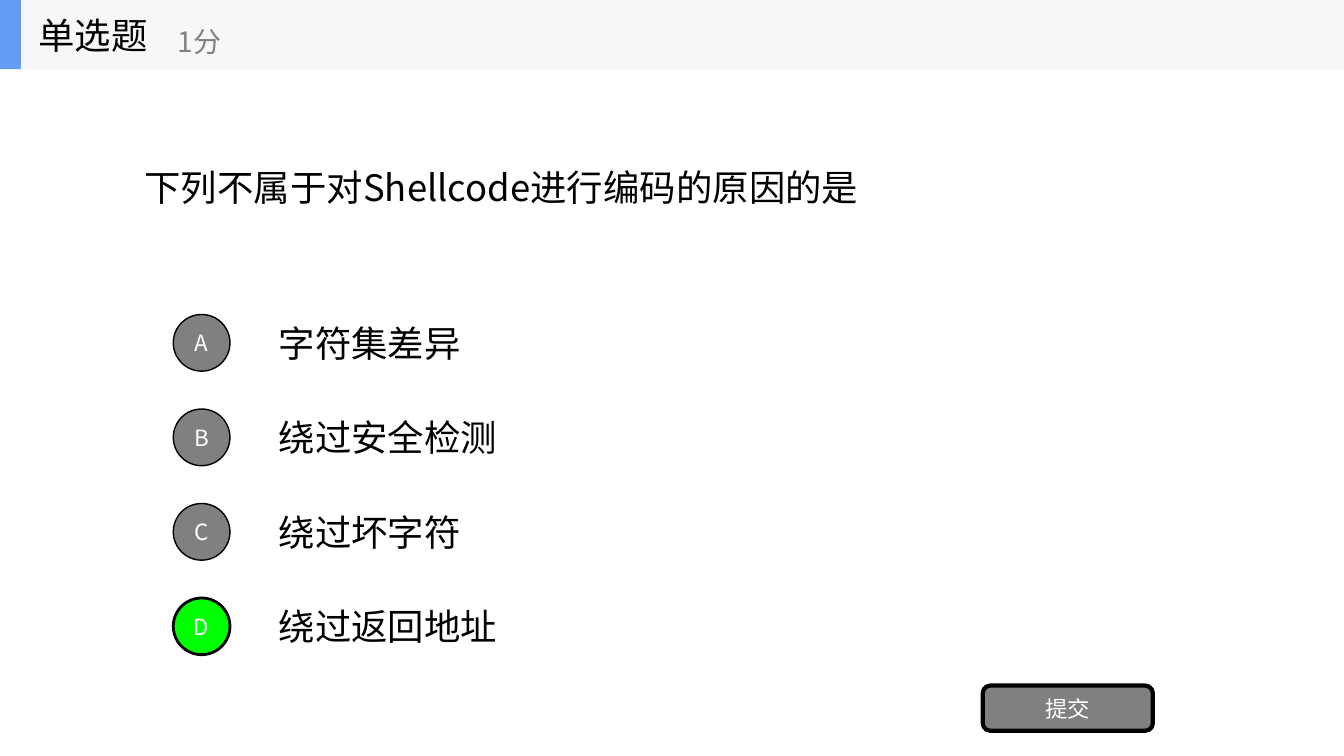
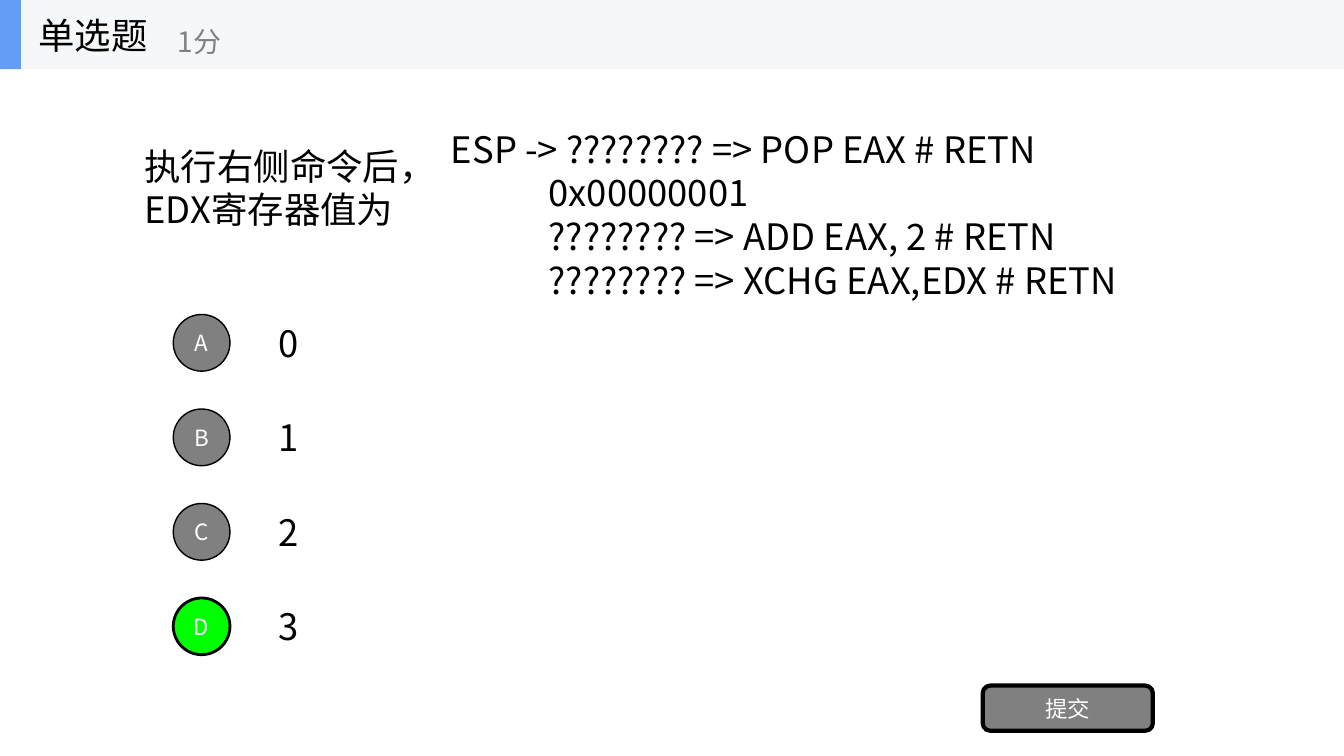
from lxml import etree
from pptx import Presentation
from pptx.dml.color import RGBColor
from pptx.enum.shapes import MSO_SHAPE
from pptx.enum.text import MSO_ANCHOR, MSO_AUTO_SIZE, PP_ALIGN
from pptx.oxml.ns import qn
from pptx.util import Pt

RECTANGLE = MSO_SHAPE.RECTANGLE
ROUNDED = MSO_SHAPE.ROUNDED_RECTANGLE
OVAL = MSO_SHAPE.OVAL
TOP, MIDDLE = MSO_ANCHOR.TOP, MSO_ANCHOR.MIDDLE
LEFT, CENTER = PP_ALIGN.LEFT, PP_ALIGN.CENTER
FIXED_SIZE = MSO_AUTO_SIZE.NONE

QUESTIONS = [
    {
        "question": ["下列不属于对Shellcode进行编码的原因的是"],
        "width": 1024,
        "options": ["字符集差异", "绕过安全检测", "绕过坏字符", "绕过返回地址"],
        "answer": "D",
        "code": [],
    },
    {
        "question": ["执行右侧命令后，", "EDX寄存器值为"],
        "width": 285,
        "options": ["0", "1", "2", "3"],
        "answer": "D",
        "code": [
            "ESP -> ???????? => POP EAX # RETN",
            "0x00000001",
            "???????? => ADD EAX, 2 # RETN",
            "???????? => XCHG EAX,EDX # RETN",
        ],
    },
]
HEADING, SCORE, SUBMIT = "单选题", "1分", "提交"

FONT = "Noto Sans CJK SC"
COLORS = {
    "text": "000000",
    "white": "FFFFFF",
    "gray": "808080",
    "correct": "00FF00",
    "band": "F6F7F8",
    "accent": "639EF4",
}
BODY_SIZE, SCORE_SIZE, BUTTON_SIZE = 26, 20, 16

PX = 9525
SLIDE_WIDTH, SLIDE_HEIGHT = 1280, 720
BAND_HEIGHT, ACCENT_WIDTH = 66, 20
QUESTION_LEFT, QUESTION_HEIGHT = 128, 225
OPTION_LEFT, OPTION_TOP, OPTION_WIDTH, OPTION_HEIGHT = 256, 293, 896, 67
OPTION_PITCH = 90
CIRCLE_LEFT, CIRCLE_SIZE = 165, 54
SUBMIT_BOX = (936, 653, 162, 43)
CODE_BOX = (420, 116, 738, 178)
CODE_INDENT = 93


def emu(box):
    return [int(length * PX) for length in box]


def write(shape, lines, size, color, align=LEFT, anchor=MIDDLE):
    frame = shape.text_frame
    frame.text = "\n".join(lines)
    frame.word_wrap = True
    frame.auto_size = FIXED_SIZE
    frame.vertical_anchor = anchor
    for paragraph in frame.paragraphs:
        paragraph.alignment = align
        for run in paragraph.runs:
            run.font.name = FONT
            run.font.size = Pt(size)
            run.font.color.rgb = RGBColor.from_string(COLORS[color])
            properties = run.font._element
            etree.SubElement(properties, qn("a:ea"), typeface=FONT)


def add_text(slide, box, lines, size=BODY_SIZE, color="text", anchor=MIDDLE):
    shape = slide.shapes.add_textbox(*emu(box))
    write(shape, lines, size, color, anchor=anchor)
    return shape


def add_block(slide, kind, box, fill, line_width=0, label=""):
    shape = slide.shapes.add_shape(kind, *emu(box))
    shape.shadow.inherit = False
    shape.fill.solid()
    shape.fill.fore_color.rgb = RGBColor.from_string(COLORS[fill])
    if line_width:
        shape.line.color.rgb = RGBColor.from_string(COLORS["text"])
        shape.line.width = Pt(line_width)
    else:
        shape.line.fill.background()
    if label:
        write(shape, [label], BUTTON_SIZE, "white", CENTER)


def add_header(slide):
    add_block(slide, RECTANGLE, (0, 0, SLIDE_WIDTH, BAND_HEIGHT), "band")
    add_block(slide, RECTANGLE, (0, 0, ACCENT_WIDTH, BAND_HEIGHT), "accent")
    add_text(slide, (27, 0, 200, BAND_HEIGHT), [HEADING])
    add_text(slide, (160, 12, 240, 54), [SCORE], SCORE_SIZE, "gray")


def add_question(slide, lines, width):
    title = slide.shapes.title
    box = (QUESTION_LEFT, BAND_HEIGHT, width, QUESTION_HEIGHT)
    title.left, title.top, title.width, title.height = emu(box)
    write(title, lines, BODY_SIZE, "text")


def add_options(slide, options, answer):
    for index, (letter, option) in enumerate(zip("ABCD", options)):
        top = OPTION_TOP + index * OPTION_PITCH
        add_text(slide, (OPTION_LEFT, top, OPTION_WIDTH, OPTION_HEIGHT), [option])
        circle_top = top + (OPTION_HEIGHT - CIRCLE_SIZE) / 2
        fill, line_width = ("correct", 2) if letter == answer else ("gray", 1)
        circle = (CIRCLE_LEFT, circle_top, CIRCLE_SIZE, CIRCLE_SIZE)
        add_block(slide, OVAL, circle, fill, line_width, letter)


def add_code(slide, lines):
    shape = add_text(slide, CODE_BOX, lines, anchor=TOP)
    for paragraph in shape.text_frame.paragraphs[1:]:
        paragraph._p.get_or_add_pPr().set("marL", str(CODE_INDENT * PX))


def main():
    presentation = Presentation()
    presentation.slide_width, presentation.slide_height = emu((SLIDE_WIDTH, SLIDE_HEIGHT))
    title_only = presentation.slide_layouts[5]
    for item in QUESTIONS:
        slide = presentation.slides.add_slide(title_only)
        add_question(slide, item["question"], item["width"])
        add_options(slide, item["options"], item["answer"])
        add_block(slide, ROUNDED, SUBMIT_BOX, "gray", 3, SUBMIT)
        if item["code"]:
            add_code(slide, item["code"])
        add_header(slide)
    presentation.save("out.pptx")


if __name__ == "__main__":
    main()
